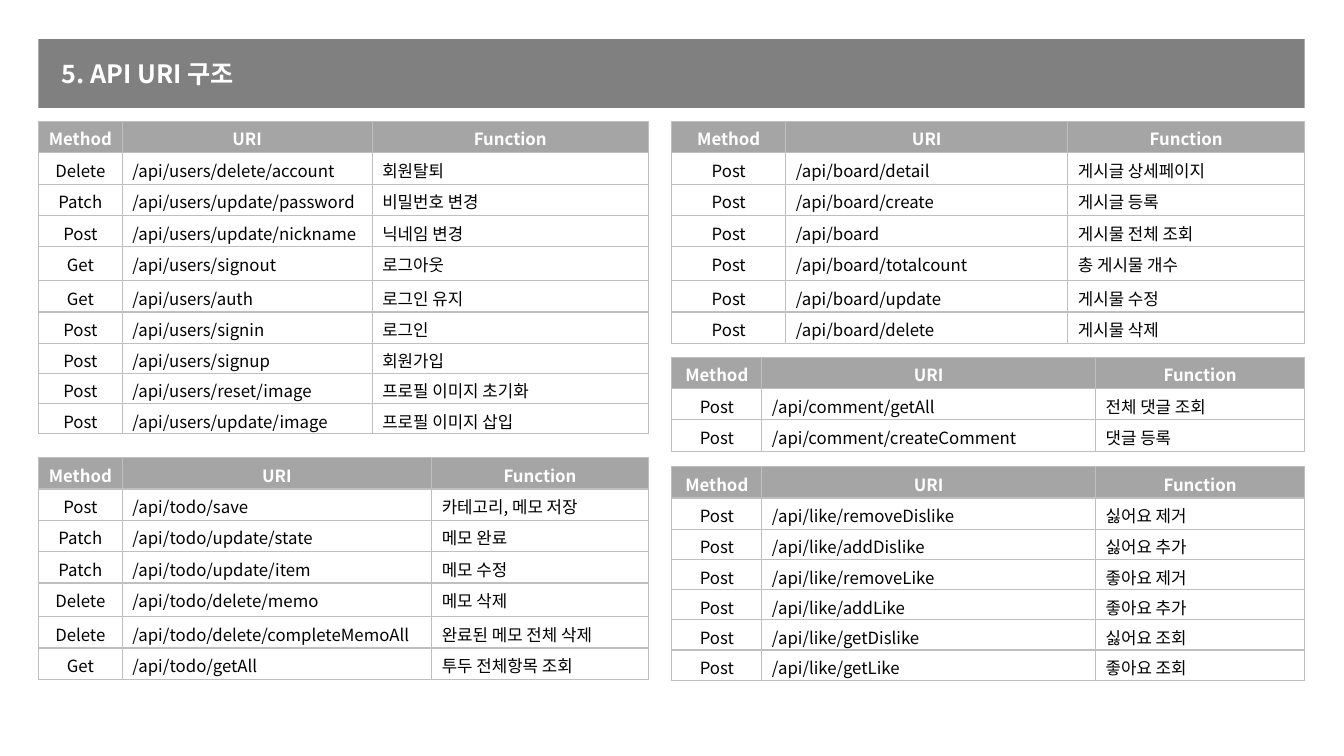
from lxml.etree import SubElement
from pptx import Presentation
from pptx.dml.color import RGBColor as RGB
from pptx.enum.shapes import MSO_SHAPE as SHAPE
from pptx.enum.text import MSO_ANCHOR as ANCHOR, PP_ALIGN as ALIGN
from pptx.oxml.ns import qn
from pptx.util import Cm, Pt


class Theme:
    font = "Noto Sans CJK KR"
    band = RGB(0x80, 0x80, 0x80)
    header = RGB(0xA5, 0xA5, 0xA5)
    white = RGB(0xFF, 0xFF, 0xFF)
    text = RGB(0, 0, 0)
    border = "BFBFBF"
    title_size = Pt(18)
    cell_size = Pt(12)


# Row heights in cm
ROW, TALL, SHORT = 0.79, 0.85, 0.76
HEADINGS = ("Method", "URI", "Function")

USERS = [
    ("Delete", "/api/users/delete/account", "회원탈퇴"),
    ("Patch", "/api/users/update/password", "비밀번호 변경"),
    ("Post", "/api/users/update/nickname", "닉네임 변경"),
    ("Get", "/api/users/signout", "로그아웃"),
    ("Get", "/api/users/auth", "로그인 유지"),
    ("Post", "/api/users/signin", "로그인"),
    ("Post", "/api/users/signup", "회원가입"),
    ("Post", "/api/users/reset/image", "프로필 이미지 초기화"),
    ("Post", "/api/users/update/image", "프로필 이미지 삽입"),
]
TODO = [
    ("Post", "/api/todo/save", "카테고리, 메모 저장"),
    ("Patch", "/api/todo/update/state", "메모 완료"),
    ("Patch", "/api/todo/update/item", "메모 수정"),
    ("Delete", "/api/todo/delete/memo", "메모 삭제"),
    ("Delete", "/api/todo/delete/completeMemoAll", "완료된 메모 전체 삭제"),
    ("Get", "/api/todo/getAll", "투두 전체항목 조회"),
]
BOARD = [
    ("Post", "/api/board/detail", "게시글 상세페이지"),
    ("Post", "/api/board/create", "게시글 등록"),
    ("Post", "/api/board", "게시물 전체 조회"),
    ("Post", "/api/board/totalcount", "총 게시물 개수"),
    ("Post", "/api/board/update", "게시물 수정"),
    ("Post", "/api/board/delete", "게시물 삭제"),
]
COMMENT = [
    ("Post", "/api/comment/getAll", "전체 댓글 조회"),
    ("Post", "/api/comment/createComment", "댓글 등록"),
]
LIKE = [
    ("Post", "/api/like/removeDislike", "싫어요 제거"),
    ("Post", "/api/like/addDislike", "싫어요 추가"),
    ("Post", "/api/like/removeLike", "좋아요 제거"),
    ("Post", "/api/like/addLike", "좋아요 추가"),
    ("Post", "/api/like/getDislike", "싫어요 조회"),
    ("Post", "/api/like/getLike", "좋아요 조회"),
]


def write(tf, text, size, color, bold, align=ALIGN.LEFT):
    tf.text = text
    p = tf.paragraphs[0]
    p.alignment = align
    r = p.runs[0]
    r.font.name, r.font.size, r.font.bold = Theme.font, size, bold
    r.font.color.rgb = color
    SubElement(r.font._element, qn("a:ea"), typeface=Theme.font)


def add_borders(cell):
    tc_pr = cell._tc.get_or_add_tcPr()
    for i, side in enumerate(("a:lnL", "a:lnR", "a:lnT", "a:lnB")):
        ln = tc_pr.makeelement(qn(side), {"w": str(Pt(1))})
        fill = SubElement(ln, qn("a:solidFill"))
        SubElement(fill, qn("a:srgbClr"), val=Theme.border)
        tc_pr.insert(i, ln)


def title_band(slide, left, top, width, height):
    band = slide.shapes.add_shape(SHAPE.RECTANGLE, Cm(left), Cm(top), Cm(width), Cm(height))
    band.shadow.inherit = False
    band.fill.solid()
    band.fill.fore_color.rgb = Theme.band
    band.line.fill.background()
    box = slide.shapes.add_textbox(Cm(left + 0.33), Cm(top + 0.36), Cm(14.48), Cm(1.02))
    box.text_frame.word_wrap = True
    write(box.text_frame, "5. API URI 구조", Theme.title_size, Theme.white, True)


def api_table(slide, left, top, width, first_cols, entries, tall=None, short_from=99):
    """Method and URI widths are given; Function takes what is left."""
    rows = [HEADINGS, *entries]
    heights = [TALL if i == tall else SHORT if i >= short_from else ROW
               for i in range(len(rows))]
    frame = slide.shapes.add_table(len(rows), len(HEADINGS), Cm(left), Cm(top),
                                   Cm(width), Cm(sum(heights)))
    table = frame.table
    table.horz_banding = False
    for col, w in zip(table.columns, (*first_cols, width - sum(first_cols))):
        col.width = Cm(w)
    for i, values in enumerate(rows):
        table.rows[i].height = Cm(heights[i])
        head = i == 0
        for j, value in enumerate(values):
            cell = table.cell(i, j)
            cell.margin_bottom = 0
            cell.vertical_anchor = ANCHOR.TOP
            cell.fill.solid()
            cell.fill.fore_color.rgb = Theme.header if head else Theme.white
            write(cell.text_frame, value, Theme.cell_size,
                  Theme.white if head else Theme.text, head,
                  ALIGN.CENTER if head or j == 0 else ALIGN.LEFT)
            add_borders(cell)


def main():
    prs = Presentation()
    prs.slide_width, prs.slide_height = Cm(33.87), Cm(19.05)
    slide = prs.slides.add_slide(prs.slide_layouts[6])
    title_band(slide, 0.97, 0.99, 31.91, 1.73)

    # Left column
    left, width = 0.97, 15.37
    api_table(slide, left, 3.06, width, (2.11, 6.3), USERS, tall=4, short_from=7)
    api_table(slide, left, 11.53, width, (2.11, 7.8), TODO, tall=4)

    # Right column
    left, width = 16.93, 15.95
    api_table(slide, left, 3.06, width, (2.87, 7.11), BOARD, tall=4)
    api_table(slide, left, 9, width, (2.27, 8.41), COMMENT)
    api_table(slide, left, 11.76, width, (2.27, 8.41), LIKE, short_from=2)

    prs.save("out.pptx")


if __name__ == "__main__":
    main()
